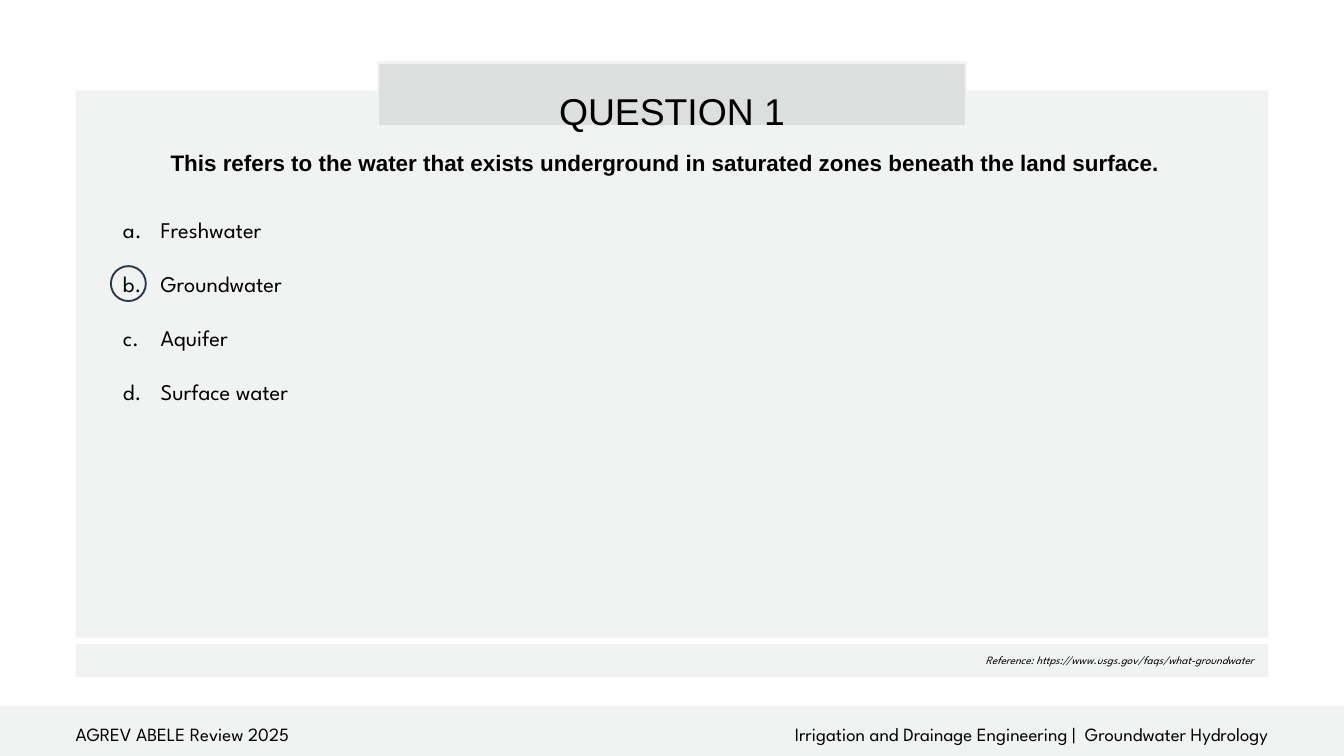
from lxml.etree import SubElement
from pptx import Presentation
from pptx.dml.color import RGBColor
from pptx.enum.shapes import MSO_SHAPE as Shape
from pptx.enum.text import PP_ALIGN as Align
from pptx.oxml.ns import qn
from pptx.util import Inches, Pt

PANEL = RGBColor(0xF1, 0xF2, 0xF2)
BANNER = RGBColor(0xDD, 0xDE, 0xDE)
INK = RGBColor(0, 0, 0)
NAVY = RGBColor(0x23, 0x39, 0x53)
HEADING_FONT, BODY_FONT = "Arial", "League Spartan"
COLUMNS, ROWS = 160, 90
CELL = Inches(20) / COLUMNS
MARGIN, CONTENT = 9, 142
LINE = 28.8


def cells(box):
    """Turn a box in columns and rows into slide lengths."""
    return [round(part * CELL) for part in box]


def add_block(slide, box, kind=Shape.RECTANGLE, fill=None, line=None, weight=0):
    """Draw a flat shape with an optional fill and outline."""
    block = slide.shapes.add_shape(kind, *cells(box))
    block.shadow.inherit = False
    if fill is None:
        block.fill.background()
    else:
        block.fill.solid()
        block.fill.fore_color.rgb = fill
    if line is None:
        block.line.fill.background()
    else:
        block.line.color.rgb = line
        block.line.width = Pt(weight)


def add_text(slide, box, *lines, size, font=BODY_FONT, align=Align.LEFT,
             bold=False, italic=False, spacing=None, gap=0, indent=None):
    """Write paragraphs in a box, lettered when an indent is given."""
    frame = slide.shapes.add_textbox(*cells(box)).text_frame
    frame.word_wrap = True
    frame.margin_left = frame.margin_right = 0
    frame.margin_top = frame.margin_bottom = 0
    for index, line in enumerate(lines):
        paragraph = frame.add_paragraph() if index else frame.paragraphs[0]
        if indent:
            props = paragraph._p.get_or_add_pPr()
            props.set("marL", str(Inches(indent)))
            props.set("indent", str(-Inches(indent)))
            SubElement(props, qn("a:buFont"), typeface="+mj-lt")
            SubElement(props, qn("a:buAutoNum"), type="alphaLcPeriod")
        paragraph.alignment = align
        if spacing:
            paragraph.line_spacing = Pt(spacing)
        if index and gap:
            paragraph.space_before = Pt(gap)
        run = paragraph.add_run()
        run.text = line
        run.font.name, run.font.size = font, Pt(size)
        run.font.bold, run.font.italic = bold, italic
        run.font.color.rgb = INK


def add_question(slide, box, title, prompt):
    """Place the panel, the banner with its title and the prompt."""
    left, top, width, height = box
    add_block(slide, box, fill=PANEL)
    add_block(slide, (left + 36, top - 3.4, width - 72, 7.6),
              fill=BANNER, line=PANEL, weight=3)
    add_text(slide, (left + 31, top - 5.3, width - 62, 9), title,
             size=40, font=HEADING_FONT, align=Align.CENTER, spacing=92.5)
    add_text(slide, (left + 10.2, top + 6.9, width - 21.4, 3.2), prompt,
             size=24, font=HEADING_FONT, align=Align.CENTER, bold=True)


def add_answers(slide, box, answers, correct):
    """List the lettered answers and circle the correct one."""
    left, top, _, _ = box
    add_text(slide, box, *answers, size=24, align=Align.JUSTIFY,
             spacing=LINE, gap=LINE, indent=0.56)
    pitch = 2 * Pt(LINE) / CELL
    add_block(slide, (left - 1.44, top - 0.48 + correct * pitch, 4.16, 4.16),
              kind=Shape.OVAL, line=NAVY, weight=2)


def add_reference(slide, box, reference):
    """Place the strip that names the reference."""
    left, top, width, height = box
    add_block(slide, box, fill=PANEL)
    add_text(slide, (left + 1.7, top + 1.1, width - 3.4, 1.6), reference,
             size=12, align=Align.RIGHT, italic=True)


def add_footer(slide, box, event, topic):
    """Place the footer band with the event and the topic."""
    left, top, width, height = box
    add_block(slide, box, fill=PANEL)
    half = CONTENT / 2
    for start, label, align in ((MARGIN, event, Align.LEFT),
                                (MARGIN + half, topic, Align.RIGHT)):
        add_text(slide, (left + start, top, half, 4.2), label,
                 size=20, align=align, spacing=42)


def main():
    """Build and save the question slide."""
    deck = Presentation()
    deck.slide_width, deck.slide_height = cells((COLUMNS, ROWS))
    slide = deck.slides.add_slide(deck.slide_layouts[6])
    add_question(slide, (MARGIN, 10.8, CONTENT, 65.1), "QUESTION 1",
                 "This refers to the water that exists underground in "
                 "saturated zones beneath the land surface. ")
    add_footer(slide, (0, 84, COLUMNS, 6), "AGREV ABELE Review 2025",
               "Irrigation and Drainage Engineering |  Groundwater Hydrology")
    add_reference(slide, (MARGIN, 76.7, CONTENT, 3.9),
                  "Reference: https://www.usgs.gov/faqs/what-groundwater")
    add_answers(slide, (14.64, 25.76, 130.6, 22.6),
                ("Freshwater", "Groundwater", "Aquifer", "Surface water"),
                correct=1)
    deck.save("out.pptx")


if __name__ == "__main__":
    main()
